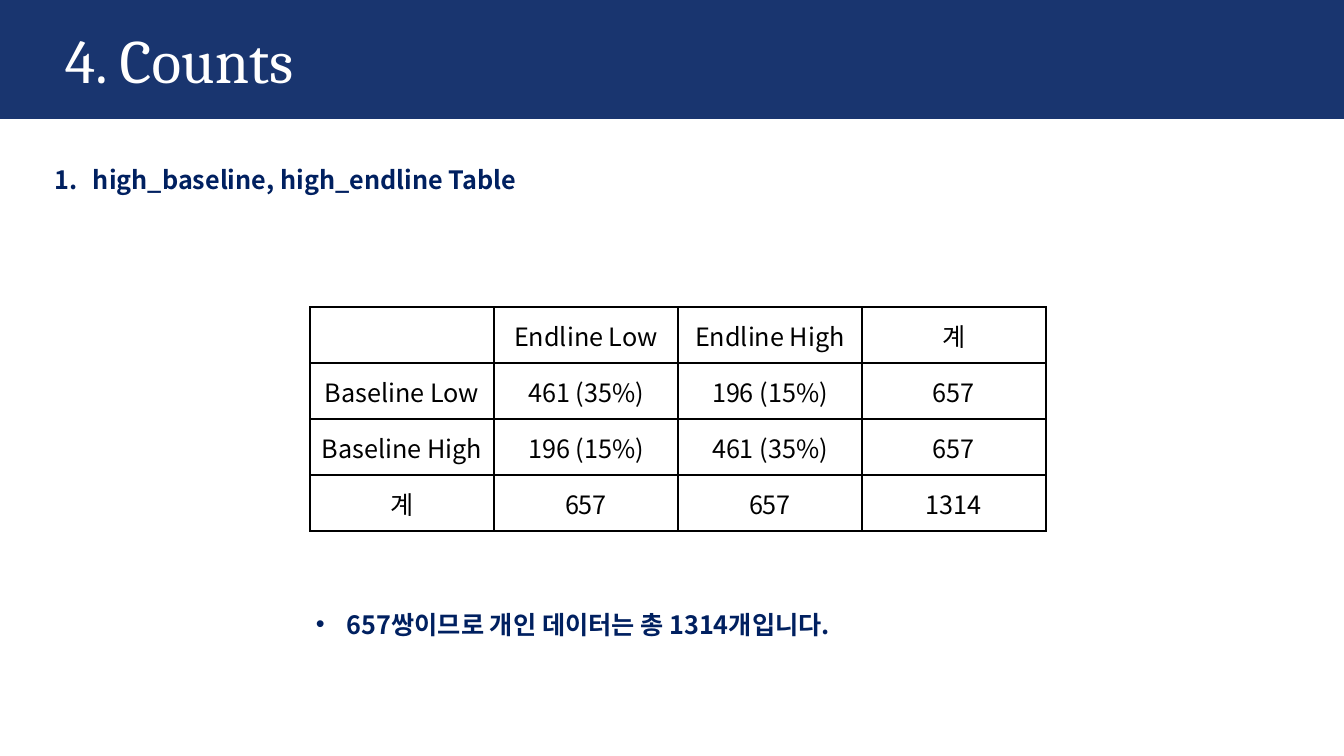
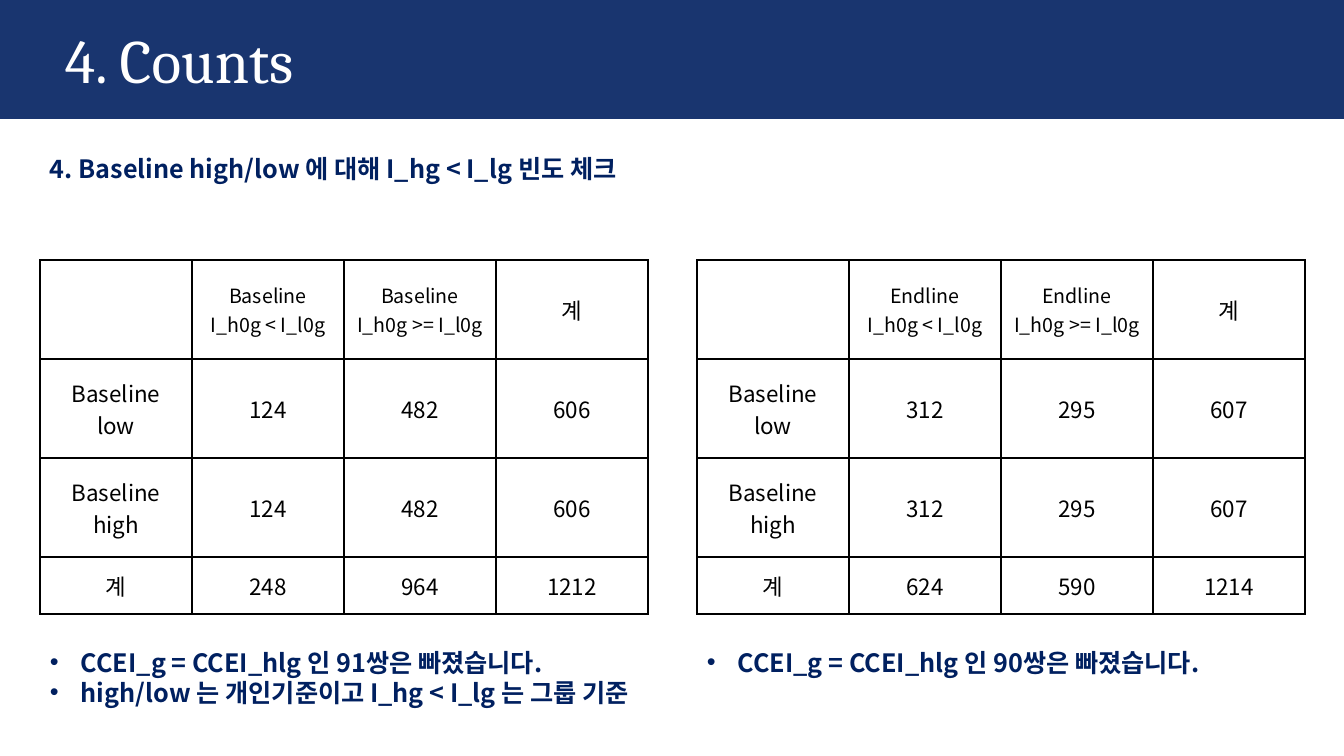
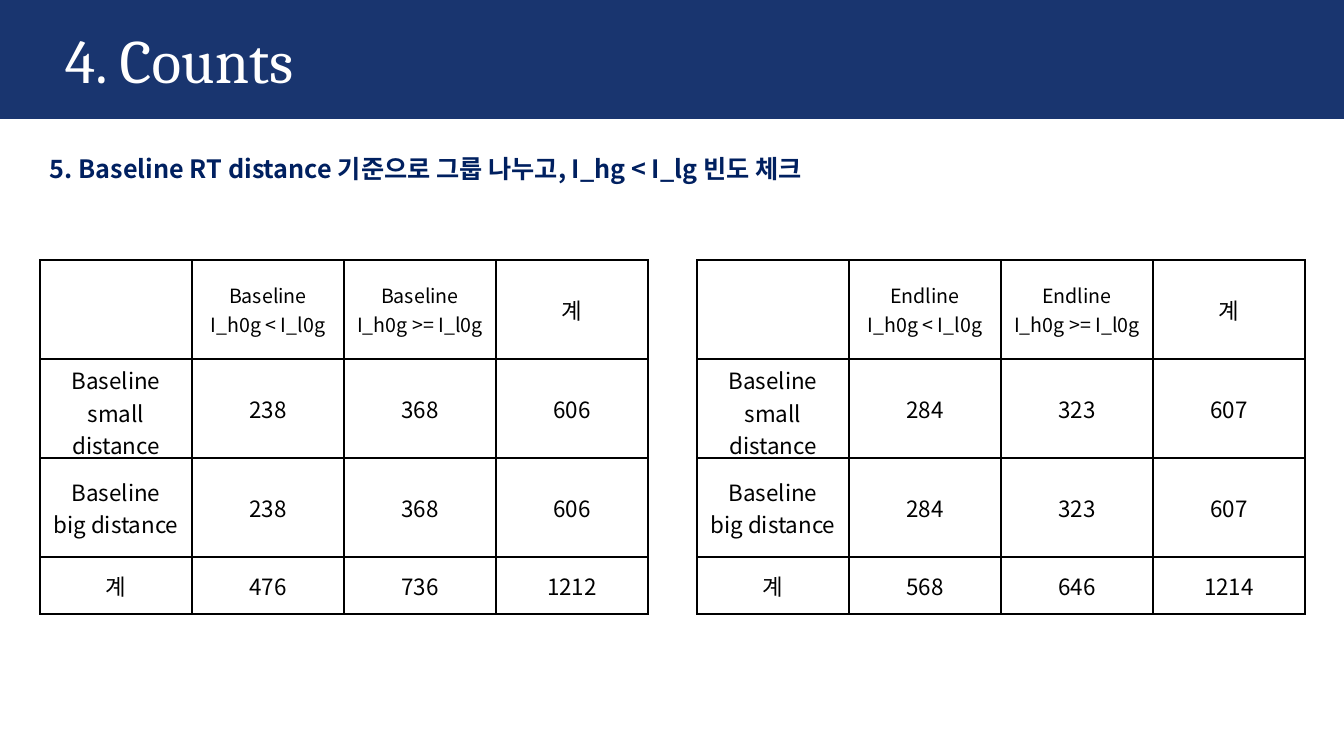
from lxml.etree import SubElement
from pptx import Presentation
from pptx.dml.color import RGBColor
from pptx.enum.shapes import MSO_SHAPE as Shape
from pptx.enum.text import MSO_ANCHOR as Anchor, PP_ALIGN as Align
from pptx.oxml.ns import qn
from pptx.util import Emu, Pt

PX = 914400 / 100.8
COLORS = {"navy": "002060", "white": "FFFFFF", "black": "000000"}
TITLE_FONT, BODY_FONT = "Cambria", "Noto Sans CJK KR"
TITLE = "4. Counts"
TOTAL = "계"

SINGLE = dict(left=310, top=307, column=184, rows=[56] * 4, size=18, header_size=18)
PAIR = dict(top=260, column=152, rows=[99, 99, 99, 57], size=16, header_size=14)
LEFT, RIGHT = dict(PAIR, left=40), dict(PAIR, left=697)

LEVELS = ["Baseline Low", "Baseline High"]
BASELINE = ["Baseline\vI_h0g < I_l0g", "Baseline\vI_h0g >= I_l0g"]
ENDLINE = ["Endline\vI_h0g < I_l0g", "Endline\vI_h0g >= I_l0g"]
INCOME_GROUPS = ["Baseline\vlow", "Baseline\vhigh"]
DISTANCE_GROUPS = ["Baseline\vsmall distance", "Baseline\vbig distance"]

# heading and notes: (box in px, lines, bullet); tables: (layout, columns, groups, counts, shares)
SLIDES = [
    {
        "texts": [
            ((45, 159, 672, 40), ["high_baseline, high_endline Table"], "1."),
            ((306, 604, 672, 40), ["657쌍이므로 개인 데이터는 총 1314개입니다."], "•"),
        ],
        "tables": [
            (SINGLE, ["Endline Low", "Endline High"], LEVELS, [[461, 196], [196, 461]], True),
        ],
    },
    {
        "texts": [
            ((40, 148, 721, 40), ["4. Baseline high/low 에 대해 I_hg < I_lg 빈도 체크"], None),
            ((40, 642, 734, 72), ["CCEI_g = CCEI_hlg 인 91쌍은 빠졌습니다.",
                                  "high/low 는 개인기준이고 I_hg < I_lg 는 그룹 기준"], "•"),
            ((697, 642, 552, 40), ["CCEI_g = CCEI_hlg 인 90쌍은 빠졌습니다."], "•"),
        ],
        "tables": [
            (LEFT, BASELINE, INCOME_GROUPS, [[124, 482]] * 2, False),
            (RIGHT, ENDLINE, INCOME_GROUPS, [[312, 295]] * 2, False),
        ],
    },
    {
        "texts": [
            ((40, 148, 875, 40),
             ["5. Baseline RT distance 기준으로 그룹 나누고, I_hg < I_lg 빈도 체크"], None),
        ],
        "tables": [
            (LEFT, BASELINE, DISTANCE_GROUPS, [[238, 368]] * 2, False),
            (RIGHT, ENDLINE, DISTANCE_GROUPS, [[284, 323]] * 2, False),
        ],
    },
]


def px(length):
    return Emu(round(length * PX))


def color(name):
    return RGBColor.from_string(COLORS[name])


def style(paragraph, font_name, size, color_name, bold=False):
    font = paragraph.font
    font.name, font.size, font.bold = font_name, Pt(size), bold
    font.color.rgb = color(color_name)
    SubElement(paragraph._p.pPr.find(qn("a:defRPr")), qn("a:ea"), typeface=font_name)


def add_bullet(paragraph, bullet):
    numbered = bullet == "1."
    indent = px(38 if numbered else 31)
    properties = paragraph._p.get_or_add_pPr()
    properties.set("marL", str(indent))
    properties.set("indent", str(-indent))
    if numbered:
        SubElement(properties, qn("a:buFont"), typeface="+mj-lt")
        SubElement(properties, qn("a:buAutoNum"), type="arabicPeriod")
    else:
        SubElement(properties, qn("a:buFont"), typeface="Arial")
        SubElement(properties, qn("a:buChar"), char=bullet)


def add_text(slide, box, lines, bullet=None, font=(BODY_FONT, 18, "navy", True)):
    frame = slide.shapes.add_textbox(*map(px, box)).text_frame
    frame.word_wrap = True
    frame.text = "\n".join(lines)
    for paragraph in frame.paragraphs:
        if bullet:
            add_bullet(paragraph, bullet)
        style(paragraph, *font)


def add_title_band(slide):
    band = slide.shapes.add_shape(Shape.RECTANGLE, 0, 0, px(1344), px(119))
    band.shadow.inherit = False
    band.line.fill.background()
    band.fill.solid()
    band.fill.fore_color.rgb = color("navy")
    SubElement(band.fill._xPr.find(".//" + qn("a:srgbClr")), qn("a:alpha"), val="90000")
    add_text(slide, (55, 17, 1246, 85), [TITLE], font=(TITLE_FONT, 44, "white"))


def with_totals(columns, groups, counts, shares):
    """Return the rows of labels for a cross table, with sums on the right and below."""
    total = sum(map(sum, counts))
    rows = [["", *columns, TOTAL]]
    for group, values in zip(groups, counts):
        labels = [f"{v} ({v / total:.0%})" if shares else str(v) for v in values]
        rows.append([group, *labels, str(sum(values))])
    rows.append([TOTAL, *(str(sum(column)) for column in zip(*counts)), str(total)])
    return rows


def add_borders(cell):
    properties = cell._tc.get_or_add_tcPr()
    for side in ("a:lnL", "a:lnR", "a:lnT", "a:lnB"):
        line = SubElement(properties, qn(side), w=str(Pt(1)))
        SubElement(SubElement(line, qn("a:solidFill")), qn("a:srgbClr"), val=COLORS["black"])


def add_cross_table(slide, layout, columns, groups, counts, shares):
    rows = with_totals(columns, groups, counts, shares)
    width = layout["column"] * len(rows[0])
    table = slide.shapes.add_table(
        len(rows), len(rows[0]), px(layout["left"]), px(layout["top"]),
        px(width), px(sum(layout["rows"]))).table
    table.first_row = table.horz_banding = False
    for column in table.columns:
        column.width = px(layout["column"])
    for row, height, labels in zip(table.rows, layout["rows"], rows):
        row.height = px(height)
        for cell, label in zip(row.cells, labels):
            add_borders(cell)
            cell.fill.background()
            cell.vertical_anchor = Anchor.MIDDLE
            paragraph = cell.text_frame.paragraphs[0]
            paragraph.text = label
            paragraph.alignment = Align.CENTER
            size = layout["header_size" if label in columns else "size"]
            style(paragraph, BODY_FONT, size, "black")


def main():
    deck = Presentation()
    deck.slide_width, deck.slide_height = px(1344), px(756)
    for content in SLIDES:
        slide = deck.slides.add_slide(deck.slide_layouts[6])
        add_title_band(slide)
        for layout, *data in content["tables"]:
            add_cross_table(slide, layout, *data)
        for box, lines, bullet in content["texts"]:
            add_text(slide, box, lines, bullet)
    deck.save("out.pptx")


if __name__ == "__main__":
    main()
